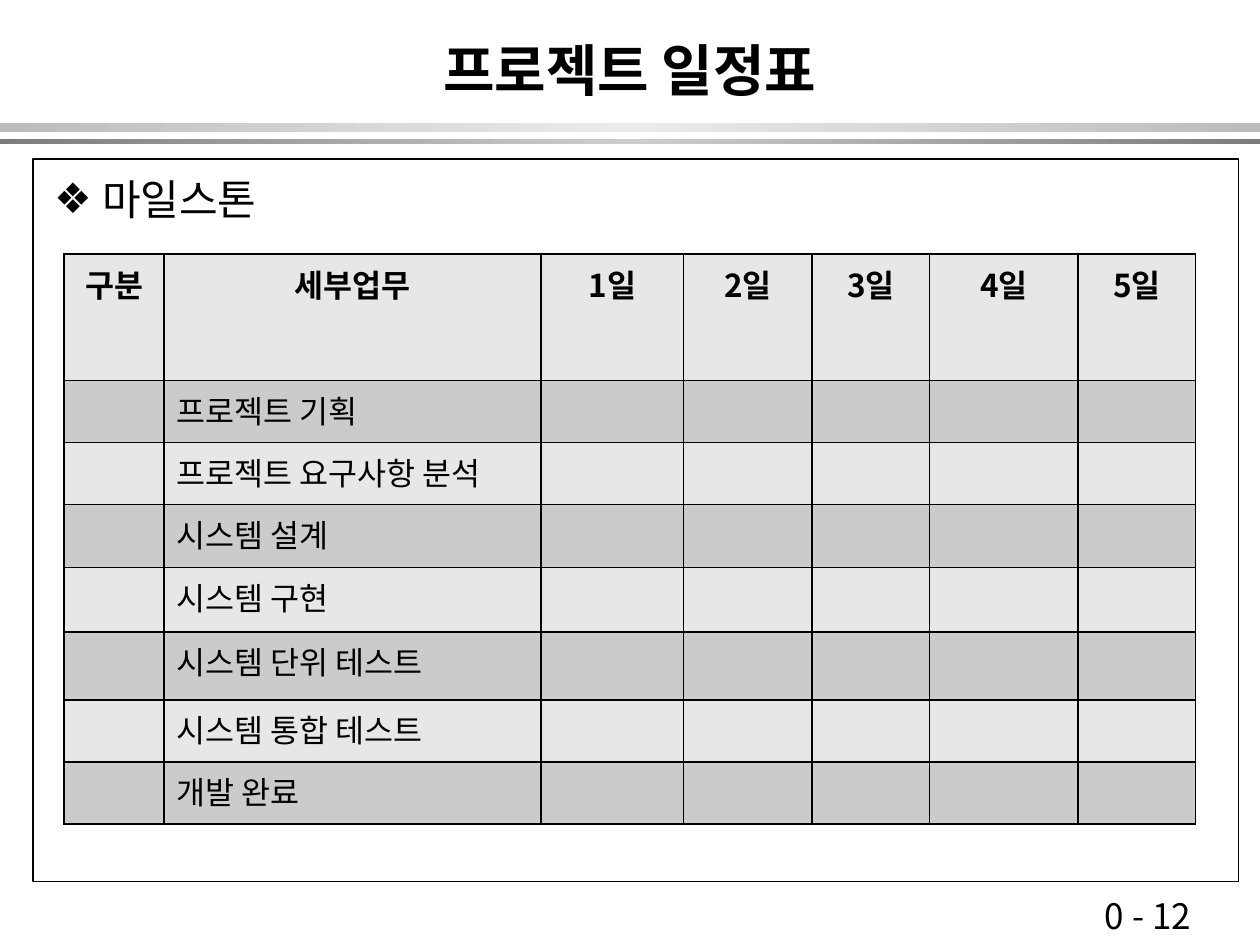
from dataclasses import dataclass

from lxml import etree
from copy import deepcopy
from pptx import Presentation
from pptx.dml.color import RGBColor
from pptx.enum.shapes import MSO_SHAPE
from pptx.enum.text import MSO_ANCHOR, MSO_AUTO_SIZE, PP_ALIGN
from pptx.oxml.ns import qn
from pptx.util import Inches, Pt

RECT = MSO_SHAPE.RECTANGLE
LEFT, MID = PP_ALIGN.LEFT, PP_ALIGN.CENTER
TOP, CENTER = MSO_ANCHOR.TOP, MSO_ANCHOR.MIDDLE
FIXED = MSO_AUTO_SIZE.NONE
WIDE, HIGH = Inches(10), Inches(7.5)


@dataclass(frozen=True)
class Theme:
    font: str = "Noto Sans CJK KR"
    ink: str = "000000"
    light: str = "E7E7E7"
    dark: str = "CBCBCB"
    upper: tuple = ("BCBCBC", "EBEBEB", "BCBCBC")
    lower: tuple = ("7C7C7C", "CECECE", "7C7C7C")
    title: int = 32
    body: int = 24
    page: int = 20
    cell: int = 18
    line: int = 1


THEME = Theme()
HEADS = ["구분", "세부업무"] + [f"{day}일" for day in range(1, 6)]
TASKS = ["프로젝트 기획", "프로젝트 요구사항 분석", "시스템 설계", "시스템 구현",
         "시스템 단위 테스트", "시스템 통합 테스트", "개발 완료"]
COLS = [0.79, 2.99, 1.13, 1.02, 0.93, 1.18, 0.93]
ROWS = [1, 0.49, 0.49, 0.5, 0.51, 0.54, 0.49, 0.49]


def area(x, y, w, h):
    return int(WIDE * x), int(HIGH * y), int(WIDE * w), int(HIGH * h)


def color(code):
    return RGBColor.from_string(code)


def write(frame, text, size, align=LEFT, bold=False):
    frame.text = text
    para = frame.paragraphs[0]
    para.alignment = align
    para.space_before = Pt(0)
    font = para.font
    font.name, font.size, font.bold = THEME.font, Pt(size), bold
    font.color.rgb = color(THEME.ink)
    props = para._p.pPr.find(qn("a:defRPr"))
    latin = props.find(qn("a:latin"))
    east = etree.Element(qn("a:ea"), typeface=THEME.font)
    latin.addnext(east)
    return para


def place(shape, box):
    shape.left, shape.top, shape.width, shape.height = box
    shape.text_frame.word_wrap = True
    shape.text_frame.auto_size = FIXED


def bar(slide, box, tones):
    shape = slide.shapes.add_shape(RECT, *box)
    shape.shadow.inherit = False
    shape.line.fill.background()
    shape.fill.gradient()
    shape.fill.gradient_angle = 0
    stops = shape._element.spPr.find(qn("a:gradFill")).find(qn("a:gsLst"))
    stops.append(deepcopy(stops[0]))
    for i, (stop, tone) in enumerate(zip(shape.fill.gradient_stops, tones)):
        stop.position = i / 2
        stop.color.rgb = color(tone)


def panel(slide, box):
    shape = slide.shapes.add_shape(RECT, *box)
    shape.shadow.inherit = False
    shape.fill.background()
    shape.line.color.rgb = color(THEME.ink)
    shape.line.width = Pt(THEME.line)


def title(slide, box, text):
    shape = slide.shapes.title
    place(shape, box)
    shape.text_frame.vertical_anchor = CENTER
    write(shape.text_frame, text, THEME.title, MID, True)


def body(slide, box, text):
    shape = slide.placeholders[1]
    place(shape, box)
    shape.text_frame.vertical_anchor = TOP
    props = write(shape.text_frame, text, THEME.body)._p.pPr
    indent = Inches(0.38)
    props.set("marL", str(indent))
    props.set("indent", str(-indent))
    bullet = etree.Element(qn("a:buChar"), char="❖")
    props.find(qn("a:defRPr")).addprevious(bullet)


def page(slide, box, text):
    shape = slide.shapes.add_textbox(*box)
    place(shape, box)
    write(shape.text_frame, text, THEME.page)


def border(cell):
    props = cell._tc.get_or_add_tcPr()
    for i, side in enumerate(("lnL", "lnR", "lnT", "lnB")):
        line = etree.Element(qn(f"a:{side}"), w=str(Pt(THEME.line)))
        fill = etree.SubElement(line, qn("a:solidFill"))
        etree.SubElement(fill, qn("a:srgbClr"), val=THEME.ink)
        props.insert(i, line)


def plan(slide, box):
    left, top, width, height = box
    table = slide.shapes.add_table(len(ROWS), len(COLS), *box).table
    for col, part in zip(table.columns, COLS):
        col.width = int(width * part / sum(COLS))
    for row, part in zip(table.rows, ROWS):
        row.height = int(height * part / sum(ROWS))
    for r, row in enumerate(table.rows):
        for cell in row.cells:
            cell.fill.solid()
            cell.fill.fore_color.rgb = color(THEME.dark if r % 2 else THEME.light)
            border(cell)
    for c, head in enumerate(HEADS):
        write(table.cell(0, c).text_frame, head, THEME.cell, MID, True)
    for r, task in enumerate(TASKS, 1):
        write(table.cell(r, 1).text_frame, task, THEME.cell)


def main():
    deck = Presentation()
    deck.slide_width, deck.slide_height = WIDE, HIGH
    slide = deck.slides.add_slide(deck.slide_layouts[1])
    for item in list(slide.placeholders)[2:]:
        item._element.getparent().remove(item._element)
    bar(slide, area(0, 0.13, 1, 0.01), THEME.upper)
    bar(slide, area(0, 0.147, 1, 0.005), THEME.lower)
    panel(slide, area(0.026, 0.168, 0.957, 0.765))
    page(slide, area(0.867, 0.94, 0.117, 0.103), "0 - 12")
    title(slide, area(0.075, 0.023, 0.85, 0.1), "프로젝트 일정표")
    body(slide, area(0.033, 0.177, 0.942, 0.744), "마일스톤")
    plan(slide, area(0.051, 0.269, 0.898, 0.603))
    deck.save("out.pptx")


if __name__ == "__main__":
    main()
